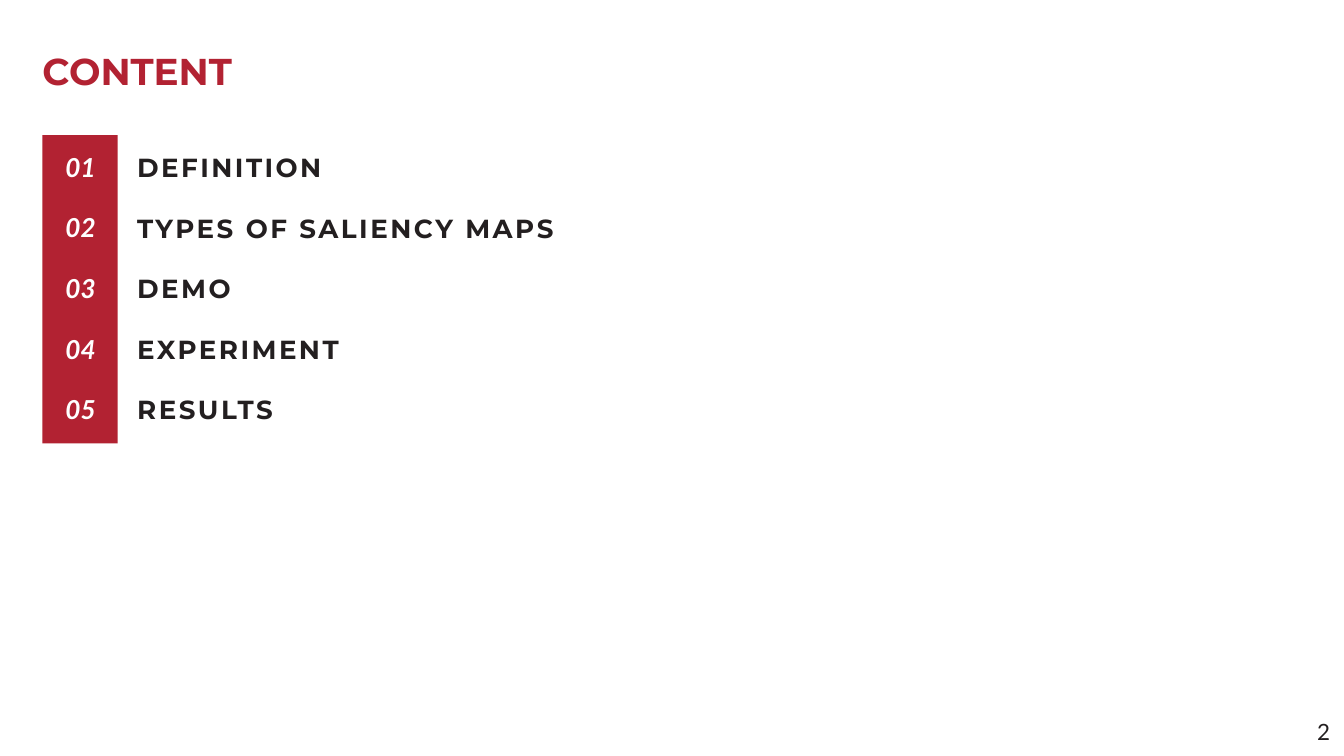
"""Build the content slide: a heading and five numbered topics beside a red bar."""
import pptx
import pptx.util
import pptx.dml.color
import pptx.enum.shapes
import pptx.enum.text

Pt = pptx.util.Pt
ALIGN = pptx.enum.text.PP_ALIGN
ANCHOR = pptx.enum.text.MSO_ANCHOR

HEAD = "CONTENT"
TOPICS = ["DEFINITION", "TYPES OF SALIENCY MAPS", "DEMO", "EXPERIMENT", "RESULTS"]
PAGE = "2"

COLORS = {"red": "B22232", "ink": "231F20", "white": "FFFFFF"}
BAR = (45.36, 144.72, 80.64, 330.48)
NUM_TOP, NUM_STEP = 162, 65
TOPIC_TOP, TOPIC_STEP = 157.7, 64.8

STYLES = {
    "head": {"font": {"name": "Montserrat", "size": Pt(40), "bold": True}, "color": "red",
             "frame": {"vertical_anchor": ANCHOR.MIDDLE}},
    "topic": {"font": {"name": "Montserrat", "size": Pt(28), "bold": True}, "color": "ink",
              "para": {"line_spacing": Pt(38.6)}, "track": 2.7},
    "num": {"font": {"name": "Lato", "size": Pt(28), "bold": True, "italic": True},
            "color": "white",
            "para": {"line_spacing": Pt(33.6), "alignment": ALIGN.CENTER}},
    "page": {"font": {"name": "Lato", "size": Pt(24)}, "color": "ink",
             "para": {"line_spacing": Pt(33.1)}, "track": 2.3},
}
FRAME = {"word_wrap": True, "margin_left": 0, "margin_top": 0,
         "margin_right": 0, "margin_bottom": 0,
         "auto_size": pptx.enum.text.MSO_AUTO_SIZE.SHAPE_TO_FIT_TEXT}


def tint(key):
    return pptx.dml.color.RGBColor.from_string(COLORS[key])


def apply(target, values):
    for name, value in values.items():
        setattr(target, name, value)


def add_text(slide, text, box, kind):
    style = STYLES[kind]
    frame = slide.shapes.add_textbox(*map(Pt, box)).text_frame
    para = frame.paragraphs[0]
    run = para.add_run()
    run.text = text
    apply(frame, {**FRAME, **style.get("frame", {})})
    apply(para, style.get("para", {}))
    apply(run.font, style["font"])
    run.font.color.rgb = tint(style["color"])
    if "track" in style:
        run._r.get_or_add_rPr().set("spc", str(round(style["track"] * 100)))


def add_bar(slide):
    bar = slide.shapes.add_shape(
        pptx.enum.shapes.MSO_SHAPE.RECTANGLE, *map(Pt, BAR))
    bar.shadow.inherit = False
    bar.fill.solid()
    bar.fill.fore_color.rgb = tint("red")
    bar.line.fill.background()


def main():
    deck = pptx.Presentation()
    apply(deck, {"slide_width": Pt(1440), "slide_height": Pt(810)})
    slide = deck.slides.add_slide(deck.slide_layouts[6])
    add_bar(slide)
    add_text(slide, HEAD, (45.36, 51.1, 230, 48.2), "head")
    for i, topic in enumerate(TOPICS):
        add_text(slide, f"{i + 1:02}", (59, NUM_TOP + i * NUM_STEP, 54.7, 33.8), "num")
        add_text(slide, topic, (147, TOPIC_TOP + i * TOPIC_STEP, 1191, 38.9), "topic")
    add_text(slide, PAGE, (1411.2, 764.6, 18.7, 33.1), "page")
    deck.save("out.pptx")


if __name__ == "__main__":
    main()
